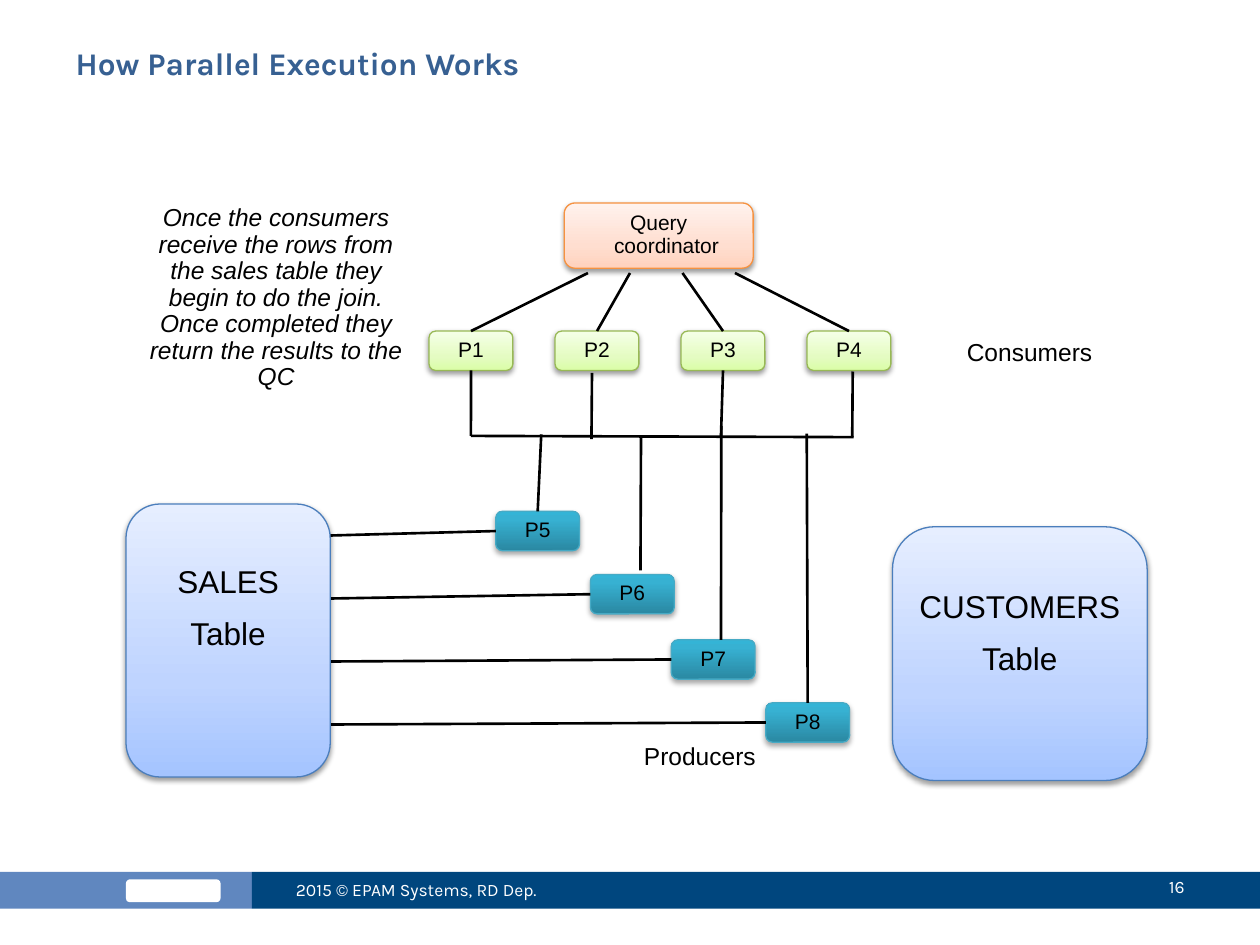
import pptx
import pptx.util
import pptx.oxml
import pptx.dml.color
import pptx.enum.shapes
import pptx.enum.text
from lxml import etree

Pt = pptx.util.Pt
KIND = pptx.enum.shapes.MSO_SHAPE
ALIGN = pptx.enum.text.PP_ALIGN
ANCHOR = pptx.enum.text.MSO_ANCHOR
A = "http://schemas.openxmlformats.org/drawingml/2006/main"

TITLE = "How Parallel Execution Works"
NOTE = ("Once the consumers receive the rows from the sales table they "
        "begin to do the join. Once completed they return the results to the QC")

# gradient stops from bottom to top, line colour, shadow opacity in percent
LOOKS = {
    "query": ([(0, "FFD2BD"), (35, "FFDED0"), (100, "FFF2ED")], "F69240", 38),
    "consumer": ([(0, "DAFDA7"), (35, "E4FCC2"), (100, "F5FFE7")], "98B955", 38),
    "producer": ([(0, "2A88A2"), (80, "37B1D2"), (100, "34B4D6")], "46AAC5", 35),
    "table": ([(0, "A4C4FF"), (35, "BFD4FF"), (100, "E6EEFF")], "4B7EBC", 38),
}
CONSUMERS = ["P1", "P2", "P3", "P4"]
PRODUCERS = [("P5", 283.3, 292.2), ("P6", 337.4, 328.3),
             ("P7", 383.6, 365.6), ("P8", 437.6, 401.6)]
TABLES = [("SALES", 72, 288, 116.7, 156), ("CUSTOMERS", 510, 301, 145.5, 145)]
LABELS = [("Producers", 320.4, 421.9, 159.1, 22.3, False),
          ("Consumers", 513.4, 190.8, 149.8, 22.3, False),
          (NOTE, 77.8, 113.8, 160, 114.5, True)]
FOOTER = [("2015 © EPAM Systems, RD Dep.", 162, 493.5, 192, ALIGN.LEFT),
          ("16", 606, 492, 78, ALIGN.RIGHT)]

# each end is a point, or a box name with the side it is joined to
TOP, LEFT, BOTTOM = 0, 1, 2
LINKS = [
    ((269.1, 249.1), (487.8, 249.8)),
    (("P1", BOTTOM), (269.1, 249.1)),
    ((338.3, 213.1), (338, 251)),
    (("P3", BOTTOM), (412, 249.3)),
    ((487.3, 212.3), (487, 249.8)),
    ((309.3, 248.2), ("P5", TOP)),
    ((366.3, 249.3), (366, 326)),
    ((412.2, 243.5), (412, 365.7)),
    ((461, 247.8), ("P8", TOP)),
]
LINKS += [((x, 156), (name, TOP))
          for name, x in zip(CONSUMERS, [336, 360, 390, 420])]
LINKS += [((name, LEFT), (188.7, 306 + 36 * i))
          for i, (name, _, _) in enumerate(PRODUCERS)]


def rgb(code):
    return pptx.dml.color.RGBColor.from_string(code)


def style(par, size, color="000000", face="Arial", bold=False, italic=False):
    for run in par.runs:
        font = run.font
        font.size, font.name = Pt(size), face
        font.bold, font.italic = bold, italic
        font.color.rgb = rgb(color)


def label(text, x, y, w, h, align):
    box = slide.shapes.add_textbox(Pt(x), Pt(y), Pt(w), Pt(h))
    frame = box.text_frame
    frame.word_wrap = True
    frame.text = text
    par = frame.paragraphs[0]
    par.alignment = align
    return frame, par


def block(kind, x, y, w, h, color):
    """Plain filled shape with no outline."""
    shape = slide.shapes.add_shape(kind, Pt(x), Pt(y), Pt(w), Pt(h))
    shape.shadow.inherit = False
    shape.fill.solid()
    shape.fill.fore_color.rgb = rgb(color)
    shape.line.fill.background()


def card(text, look, x, y, w, h, size=12, inset=3.6):
    """Rounded box with a gradient, a soft shadow and hanging centred text."""
    stops, edge, alpha = LOOKS[look]
    shape = slide.shapes.add_shape(KIND.ROUNDED_RECTANGLE,
                                   Pt(x), Pt(y), Pt(w), Pt(h))
    shape.line.color.rgb = rgb(edge)
    shape.line.width = Pt(0.75)
    shape.shadow.inherit = False
    props = shape._element.spPr
    marks = "".join(f'<a:gs pos="{pos * 1000}"><a:srgbClr val="{code}"/></a:gs>'
                    for pos, code in stops)
    props.find(f"{{{A}}}prstGeom").addnext(pptx.oxml.parse_xml(
        f'<a:gradFill xmlns:a="{A}" rotWithShape="1"><a:gsLst>{marks}</a:gsLst>'
        '<a:lin ang="16200000" scaled="0"/></a:gradFill>'))
    props.find(f"{{{A}}}effectLst").append(pptx.oxml.parse_xml(
        f'<a:outerShdw xmlns:a="{A}" blurRad="{Pt(3.1)}" dist="{Pt(1.7)}" '
        'dir="5400000" rotWithShape="0"><a:srgbClr val="000000">'
        f'<a:alpha val="{alpha * 1000}"/></a:srgbClr></a:outerShdw>'))
    frame = shape.text_frame
    frame.word_wrap = True
    frame.vertical_anchor = ANCHOR.TOP
    frame.margin_top = Pt(inset)
    frame.text = text
    for i, par in enumerate(frame.paragraphs):
        par.alignment = ALIGN.CENTER
        par.line_spacing = 0.9
        if i:
            par.space_before = Pt(size / 2 + 1)
        ppr = par._p.get_or_add_pPr()
        ppr.set("marL", str(Pt(9)))
        ppr.set("indent", str(Pt(-9)))
        style(par, size)
    return shape


def link(start, end):
    ends = [(0, 0) if isinstance(e[0], str) else e for e in (start, end)]
    line = slide.shapes.add_connector(
        pptx.enum.shapes.MSO_CONNECTOR.STRAIGHT,
        *[Pt(v) for point in ends for v in point])
    for end_at, join in ((start, line.begin_connect), (end, line.end_connect)):
        if isinstance(end_at[0], str):
            join(cards[end_at[0]], end_at[1])
    line.line.color.rgb = rgb("000000")
    line.line.width = Pt(1.5)
    etree.SubElement(line._element.spPr, f"{{{A}}}effectLst")


deck = pptx.Presentation()
deck.slide_width, deck.slide_height = Pt(720), Pt(540)
slide = deck.slides.add_slide(deck.slide_layouts[5])

title = slide.shapes.title
title.left, title.top, title.width, title.height = Pt(36), Pt(21.6), Pt(648), Pt(56)
title.text_frame.text = TITLE
title.text_frame.vertical_anchor = ANCHOR.TOP
title.text_frame.paragraphs[0].alignment = ALIGN.LEFT
style(title.text_frame.paragraphs[0], 18, "376092", "Karla", bold=True)

block(KIND.RECTANGLE, 0, 498.2, 144, 21, "6087BF")
block(KIND.RECTANGLE, 144, 498.2, 576, 21, "00467E")
block(KIND.ROUNDED_RECTANGLE, 72, 502.5, 54, 13, "FFFFFF")
for text, x, y, w, align in FOOTER:
    frame, par = label(text, x, y, w, 29, align)
    frame.vertical_anchor = ANCHOR.MIDDLE
    style(par, 10, "FFFFFF", "Karla")

for text, x, y, w, h, italic in LABELS:
    frame, par = label(text, x, y, w, h, ALIGN.CENTER)
    par.line_spacing = 0.9
    style(par, 14, italic=italic)

card("Query coordinator", "query", 322.4, 116, 108, 37.3)
cards = {}
for i, name in enumerate(CONSUMERS):
    cards[name] = card(name, "consumer", 245.2 + 72 * i, 189.2, 47.9, 22.5)
for name, x, y in PRODUCERS:
    cards[name] = card(name, "producer", x, y, 47.9, 22.5)
for start, end in LINKS:
    link(start, end)
for name, *place in TABLES:
    card(f"{name}\nTable", "table", *place, size=18, inset=30)

deck.save("out.pptx")
